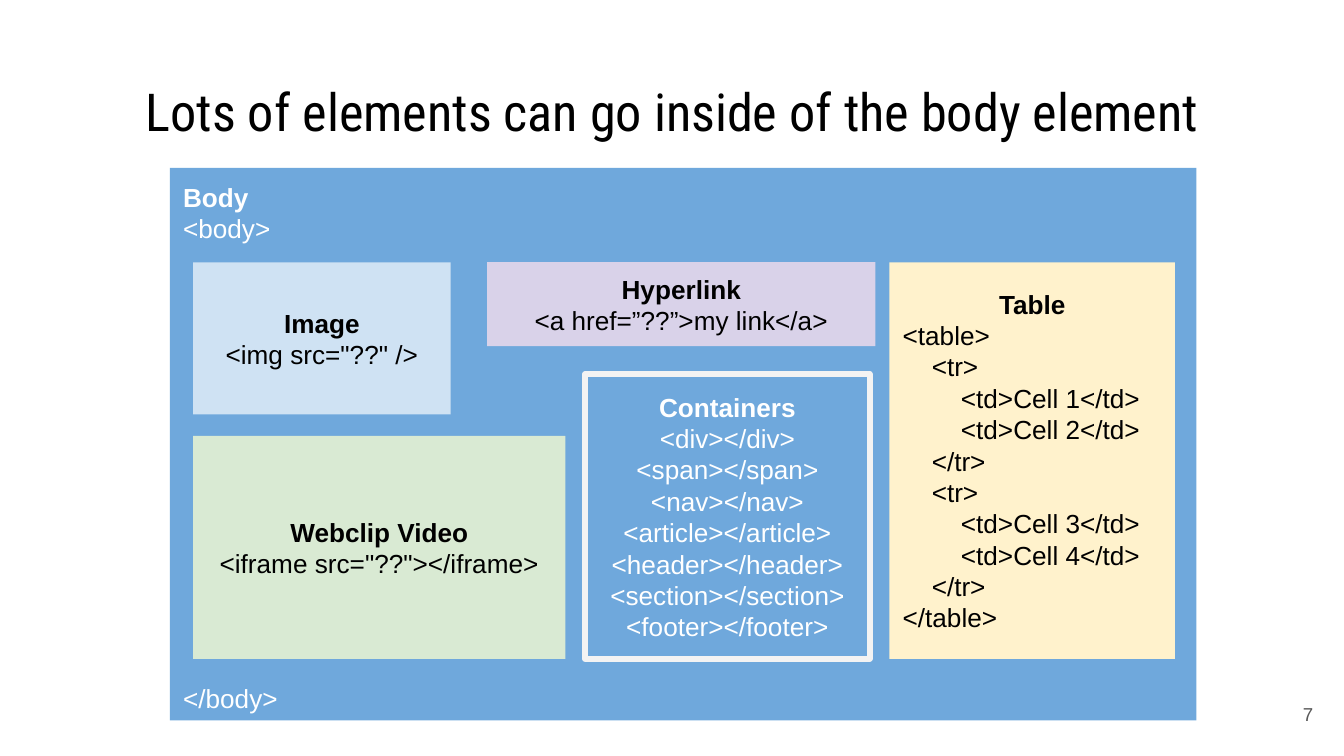
from pptx import Presentation
from pptx.dml.color import RGBColor
from pptx.enum.shapes import MSO_SHAPE
from pptx.enum.text import MSO_ANCHOR as ANCHOR, PP_ALIGN as ALIGN
from pptx.util import Pt

INSET = Pt(7.2)
INDENT = Pt(15.6)
LINE = Pt(16.8)


def rgb(value):
    return RGBColor.from_string(value)


def write(sp, lines, color, size=14, font="Arial", align=ALIGN.CENTER, anchor=ANCHOR.MIDDLE):
    """Fill a shape with one paragraph per line and return the paragraphs."""
    tf = sp.text_frame
    tf.word_wrap = True
    tf.vertical_anchor = anchor
    tf.margin_left = tf.margin_right = tf.margin_top = tf.margin_bottom = INSET
    tf.text = "\n".join(lines)
    for p in tf.paragraphs:
        p.alignment = align
        p.font.size = Pt(size)
        for r in p.runs:
            r.font.size = Pt(size)
            r.font.name = font
            r.font.color.rgb = rgb(color)
    return tf.paragraphs


prs = Presentation()
prs.slide_width, prs.slide_height = Pt(720), Pt(405)
s = prs.slides.add_slide(prs.slide_layouts[6])

title = s.shapes.add_textbox(Pt(24.5), Pt(35), Pt(671), Pt(45.5))
write(title, ["Lots of elements can go inside of the body element"], "000000",
      size=28, font="Roboto Condensed", anchor=ANCHOR.TOP)

number = s.shapes.add_textbox(Pt(667.5), Pt(367), Pt(43), Pt(31))
write(number, ["7"], "595959", size=10, align=ALIGN.RIGHT)

containers = ["div", "span", "nav", "article", "header", "section", "footer"]
table_rows = [(0, "<table>")]
for first in (1, 3):
    table_rows += [(1, "<tr>"), (2, f"<td>Cell {first}</td>"),
                   (2, f"<td>Cell {first + 1}</td>"), (1, "</tr>")]
table_rows.append((0, "</table>"))

# left, top, width, height, fill, text colour, lines with the heading first
boxes = {
    "body": (91, 90, 550, 296, "6FA8DC", "FFFFFF", ["Body", "<body>", "</body>"]),
    "image": (103.5, 140.5, 138, 81.5, "CFE2F3", "000000", ["Image", '<img src="??" />']),
    "video": (103.5, 233.5, 199.5, 119.5, "D9EAD3", "000000",
              ["Webclip Video", '<iframe src="??"></iframe>']),
    "link": (261, 140.5, 208, 45, "D9D2E9", "000000",
             ["Hyperlink", "<a href=”??”>my link</a>"]),
    "containers": (313.5, 200.5, 152.5, 152.5, None, "FFFFFF",
                   ["Containers"] + [f"<{tag}></{tag}>" for tag in containers]),
    "table": (476.5, 140.5, 153, 212.5, "FFF2CC", "000000",
              ["Table"] + [text for _, text in table_rows]),
}

paragraphs = {}
for name, (left, top, width, height, fill, color, lines) in boxes.items():
    sp = s.shapes.add_shape(MSO_SHAPE.RECTANGLE, Pt(left), Pt(top), Pt(width), Pt(height))
    sp.shadow.inherit = False
    if fill:
        sp.fill.solid()
        sp.fill.fore_color.rgb = rgb(fill)
        sp.line.fill.background()
    else:
        sp.fill.background()
        sp.line.color.rgb = rgb("F3F3F3")
        sp.line.width = Pt(3)
    paragraphs[name] = write(sp, lines, color)
    for p in paragraphs[name]:
        p.line_spacing = LINE
    paragraphs[name][0].runs[0].font.bold = True

# The body tags sit at the top and bottom of the outer box
for p in paragraphs["body"]:
    p.alignment = ALIGN.LEFT
paragraphs["body"][-1].space_before = Pt(235)
s.shapes[2].text_frame.vertical_anchor = ANCHOR.TOP

# Table markup is indented by nesting depth
for p, (depth, _) in zip(paragraphs["table"][1:], table_rows):
    p.alignment = ALIGN.LEFT
    pPr = p._p.get_or_add_pPr()
    pPr.set("marL", str(depth * INDENT))
    pPr.set("indent", "0")

prs.save("out.pptx")
